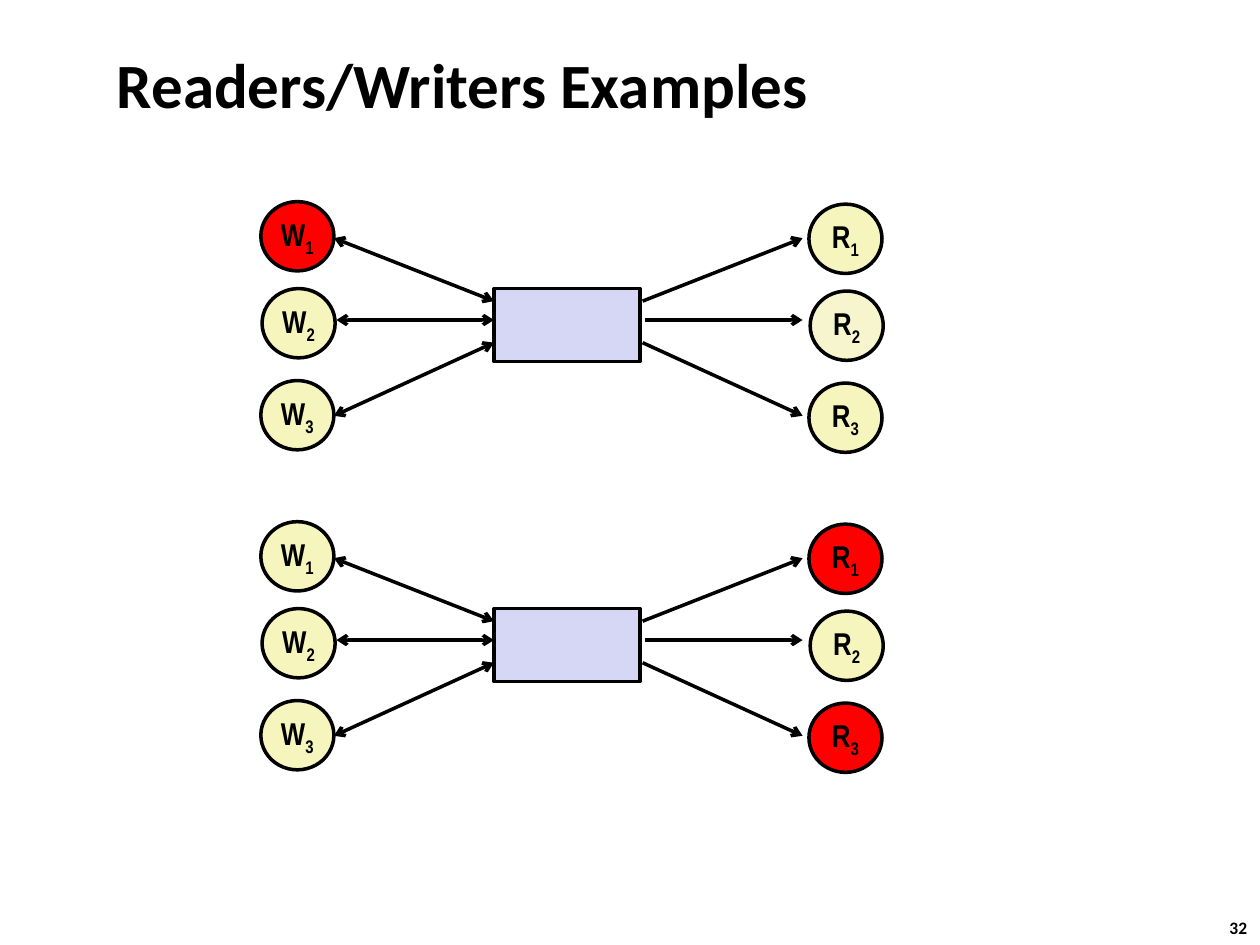
import pptx
import pptx.util
import pptx.dml.color
import pptx.enum.shapes
import pptx.enum.text
import pptx.oxml
import pptx.oxml.ns
from lxml import etree

Inches = pptx.util.Inches
Pt = pptx.util.Pt
RGBColor = pptx.dml.color.RGBColor
Shape = pptx.enum.shapes.MSO_SHAPE
Anchor = pptx.enum.text.MSO_ANCHOR
Align = pptx.enum.text.PP_ALIGN
qn = pptx.oxml.ns.qn

BLACK = RGBColor(0x00, 0x00, 0x00)
RED = RGBColor(0xFF, 0x00, 0x00)
CREAM = RGBColor(0xF6, 0xF5, 0xBD)
PALE = RGBColor(0xF7, 0xF5, 0xCD)
LILAC = RGBColor(0xD6, 0xD6, 0xF5)

NODE = (0.58, 0.55)
SHIFTS = (0, 0.01, 0)
TOPS = (0, 0.69, 1.42)
OUTER = (0.29, 0.94, 1.7)
INNER = (0.79, 0.94, 1.12)


def write(shape, text, sub="", font="Calibri", size=18, align=Align.LEFT,
          anchor=Anchor.TOP, wrap=False, pad=0.05):
    frame = shape.text_frame
    frame.word_wrap = wrap
    frame.vertical_anchor = anchor
    frame.margin_top = frame.margin_bottom = Inches(pad)
    para = frame.paragraphs[0]
    para.alignment = align
    for part in filter(None, (text, sub)):
        run = para.add_run()
        run.text = part
        run.font.name = font
        run.font.size = Pt(size)
        run.font.bold = True
        run.font.color.rgb = BLACK
    if sub:
        run._r.get_or_add_rPr().set("baseline", "-25000")


def label(slide, box, text, **style):
    shape = slide.shapes.add_textbox(*map(Inches, box))
    write(shape, text, **style)
    return shape


def block(slide, kind, box, fill):
    shape = slide.shapes.add_shape(kind, *map(Inches, box))
    shape.shadow.inherit = False
    shape.fill.solid()
    shape.fill.fore_color.rgb = fill
    shape.line.color.rgb = BLACK
    shape.line.width = Pt(2)
    return shape


def arrow(slide, start, end, ends):
    line = slide.shapes.add_connector(
        pptx.enum.shapes.MSO_CONNECTOR.STRAIGHT, *map(Inches, start + end))
    line.line.color.rgb = BLACK
    line.line.width = Pt(2)
    for tag in ends:
        etree.SubElement(line.line._get_or_add_ln(), qn(tag), type="arrow")
    etree.SubElement(line._element.spPr, qn("a:effectLst"))


def group(slide, left, top, name, fills):
    for index, fill in enumerate(fills):
        box = (left + SHIFTS[index], top + TOPS[index], *NODE)
        node = block(slide, Shape.OVAL, box, fill)
        write(node, name, sub=str(index + 1), font="Arial Narrow",
              align=Align.CENTER, anchor=Anchor.MIDDLE, pad=0)


def links(slide, top, outer, inner, ends):
    for far, near, high, low in zip(outer, inner, OUTER, INNER):
        arrow(slide, (far, top + high), (near, top + low), ends)


def diagram(slide, left, top, writers, readers):
    block(slide, Shape.RECTANGLE, (left + 1.85, top + 0.69, 1.16, 0.58), LILAC)
    group(slide, left, top, "W", writers)
    group(slide, left + 4.35, top + 0.02, "R", readers)
    links(slide, top, (left + 0.58, left + 0.6, left + 0.58),
          (left + 1.85,) * 3, ("a:headEnd", "a:tailEnd"))
    links(slide, top, (left + 4.3,) * 3,
          (left + 3.03, left + 3.05, left + 3.03), ("a:headEnd",))


def main():
    deck = pptx.Presentation()
    deck.slide_width = Inches(10)
    deck.slide_height = Inches(7.5)
    slide = deck.slides.add_slide(deck.slide_layouts[6])
    label(slide, (0.83, 0.25, 8.3, 0.83), "Readers/Writers Examples",
          size=36, anchor=Anchor.MIDDLE, wrap=True)
    diagram(slide, 2.07, 1.6, (RED, CREAM, CREAM), (CREAM, PALE, CREAM))
    diagram(slide, 2.07, 4.14, (CREAM, CREAM, CREAM), (RED, CREAM, RED))
    number = label(slide, (9.66, 7.23, 0.37, 0.27), "32", size=10)
    number.text_frame.auto_size = pptx.enum.text.MSO_AUTO_SIZE.SHAPE_TO_FIT_TEXT
    deck.save("out.pptx")


if __name__ == "__main__":
    main()
